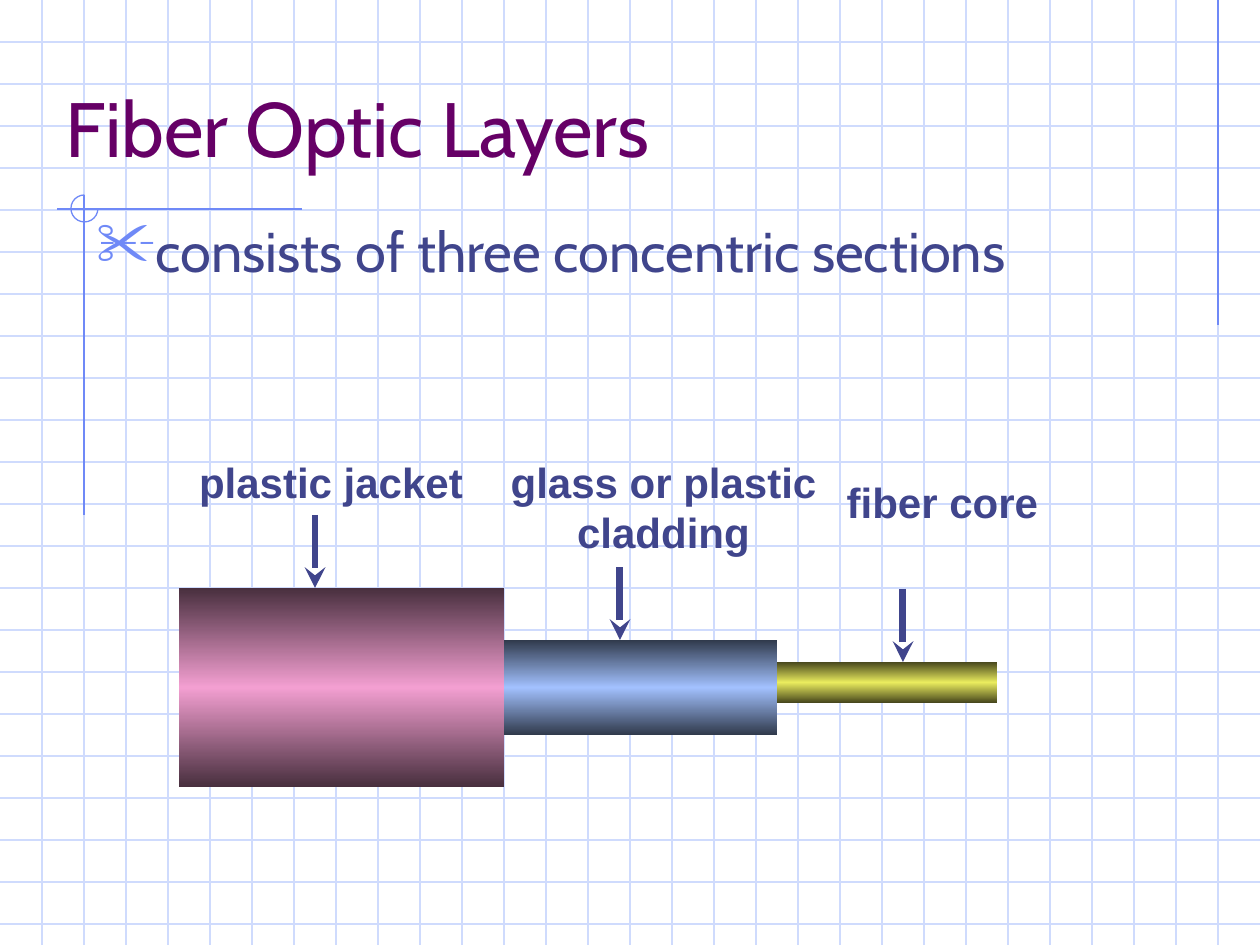
import copy
import lxml.etree
import pptx
import pptx.dml.color
import pptx.enum.shapes
import pptx.enum.text
import pptx.oxml.ns
import pptx.util

SCALE = 914400 / 126
WIDTH, HEIGHT, PITCH = 1260, 945, 42
COLORS = {
    "grid": "CFDBFD", "accent": "6F89F7", "title": "660066", "ink": "40458C",
    "jacket_edge": "482F3E", "jacket_glow": "F39FD1",
    "cladding_edge": "303A4C", "cladding_glow": "A2C1FE",
    "core_edge": "46461C", "core_glow": "EAEC5E",
}
SHAPES = pptx.enum.shapes.MSO_SHAPE
ANCHOR = pptx.enum.text.MSO_ANCHOR
ALIGN = pptx.enum.text.PP_ALIGN


def emu(*lengths):
    """Turn px lengths into EMU."""
    return [pptx.util.Emu(round(length * SCALE)) for length in lengths]


def color(name):
    """Look up a colour by its role."""
    return pptx.dml.color.RGBColor.from_string(COLORS[name])


def add_child(parent, tag, **attributes):
    """Append a drawing element with the given attributes."""
    child = lxml.etree.SubElement(parent, pptx.oxml.ns.qn(tag))
    for key, value in attributes.items():
        child.set(key, value)
    return child


def add_line(page, start, end, stroke, width=0.75, head=None):
    """Draw a straight line, with an arrowhead at its end if one is named."""
    kind = pptx.enum.shapes.MSO_CONNECTOR.STRAIGHT
    line = page.shapes.add_connector(kind, *emu(*start, *end))
    line.line.color.rgb = color(stroke)
    line.line.width = pptx.util.Pt(width)
    if head:
        add_child(line.line._get_or_add_ln(), "a:tailEnd", type=head)
    add_child(line._element.spPr, "a:effectLst")


def add_text(page, box, lines, look, align=ALIGN.LEFT, anchor=ANCHOR.TOP, wrap=True):
    """Write paragraphs in one look and return them."""
    frame = page.shapes.add_textbox(*emu(*box)).text_frame
    frame.word_wrap, frame.vertical_anchor = wrap, anchor
    frame.text = "\n".join(lines)
    for para in frame.paragraphs:
        para.alignment = align
        for span in para.runs:
            span.font.color.rgb = color(look["color"])
            for key, value in look["font"].items():
                setattr(span.font, key, value)
    return frame.paragraphs


def add_grid(page, box):
    """Rule the box into squares."""
    left, top, width, height = box
    for y in range(top + PITCH, top + height, PITCH):
        add_line(page, (left, y), (left + width, y), "grid")
    for x in range(left + PITCH, left + width, PITCH):
        add_line(page, (x, top), (x, top + height), "grid")


def add_ornament(page, box):
    """Draw the accent rules and the three-quarter ring at their crossing."""
    left, top, width, height = box
    edge, axis, rule = left + width - PITCH, left + 2 * PITCH, top + 209
    add_line(page, (edge, top), (edge, top + 325), "accent")
    add_line(page, (left + 302, rule), (left + 57, rule), "accent")
    add_line(page, (axis, top + 195), (axis, top + 515), "accent")
    ring = page.shapes.add_shape(SHAPES.ARC, *emu(axis - 13, rule - 14, 27, 27))
    ring.adjustments[0], ring.adjustments[1] = 0, 162
    ring.shadow.inherit = False
    ring.fill.background()
    ring.line.color.rgb = color("accent")
    ring.line.width = pptx.util.Pt(0.75)


def add_heading(page, box):
    """Place the title at the foot of its box."""
    look = {"color": "title", "font": {"name": "Cabin", "size": pptx.util.Pt(44)}}
    add_text(page, box, ["Fiber Optic Layers"], look, anchor=ANCHOR.BOTTOM)


def add_body(page, box):
    """Place the scissor-bulleted statement."""
    look = {"color": "ink", "font": {"name": "Cabin", "size": pptx.util.Pt(32)}}
    para = add_text(page, box, ["consists of three concentric sections"], look)[0]
    properties = para._p.get_or_add_pPr()
    indent = emu(47)[0]
    properties.set("marL", str(indent))
    properties.set("indent", str(-indent))
    add_child(add_child(properties, "a:buClr"), "a:srgbClr", val=COLORS["accent"])
    add_child(properties, "a:buSzPct", val="110000")
    add_child(properties, "a:buChar", char="✂")


def add_layer(page, box, name):
    """Draw one cable section, dark at its edges and bright along its axis."""
    layer = page.shapes.add_shape(SHAPES.RECTANGLE, *emu(*box))
    layer.shadow.inherit = False
    layer.line.fill.background()
    layer.fill.gradient()
    layer.fill.gradient_angle = 90
    stops = layer._element.spPr.find(".//" + pptx.oxml.ns.qn("a:gsLst"))
    stops.insert(1, copy.deepcopy(stops[0]))
    tones = ((0, "edge"), (0.5, "glow"), (1, "edge"))
    for stop, (position, tone) in zip(layer.fill.gradient_stops, tones):
        stop.position = position
        stop.color.rgb = color(f"{name}_{tone}")


def add_cable(page, box):
    """Draw the stepped cable with a label and an arrow for each layer."""
    left, top, width, height = box
    look = {"color": "ink",
            "font": {"name": "Arial", "size": pptx.util.Pt(24), "bold": True}}
    layers = [
        ("jacket", 325, 138, 199, 136, (7, 0, 290, 63), ["plastic jacket"]),
        ("cladding", 273, 190, 95, 441, (319, 0, 331, 113),
         ["glass or plastic", "cladding"]),
        ("core", 220, 212, 41, 724, (655, 20, 217, 63), ["fiber core"]),
    ]
    x = left
    for name, length, drop, thickness, pointer, label, lines in layers:
        add_layer(page, (x, top + drop, length, thickness), name)
        tip = (left + pointer, top + drop)
        add_line(page, (tip[0], tip[1] - 73), tip, "ink", 4, "stealth")
        add_text(page, (left + label[0], top + label[1], *label[2:]), lines,
                 look, ALIGN.CENTER, wrap=False)
        x += length


def main():
    """Build the slide and save it."""
    deck = pptx.Presentation()
    deck.slide_width, deck.slide_height = emu(WIDTH, HEIGHT)
    page = deck.slides.add_slide(deck.slide_layouts[6])
    add_grid(page, (0, 0, WIDTH, HEIGHT))
    add_ornament(page, (0, 0, WIDTH, HEIGHT))
    add_cable(page, (179, 450, 872, 337))
    add_heading(page, (53, 32, 1165, 147))
    add_body(page, (84, 210, 1113, 661))
    deck.save("out.pptx")


if __name__ == "__main__":
    main()
